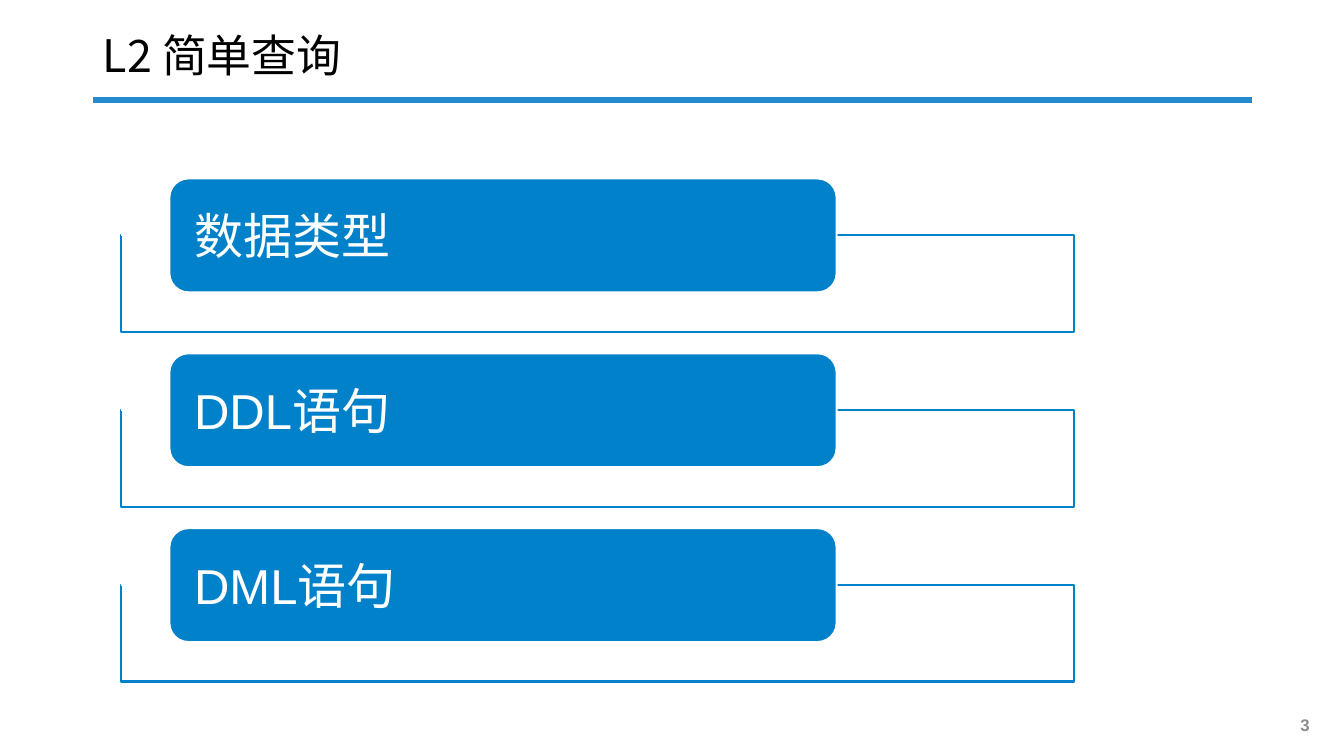
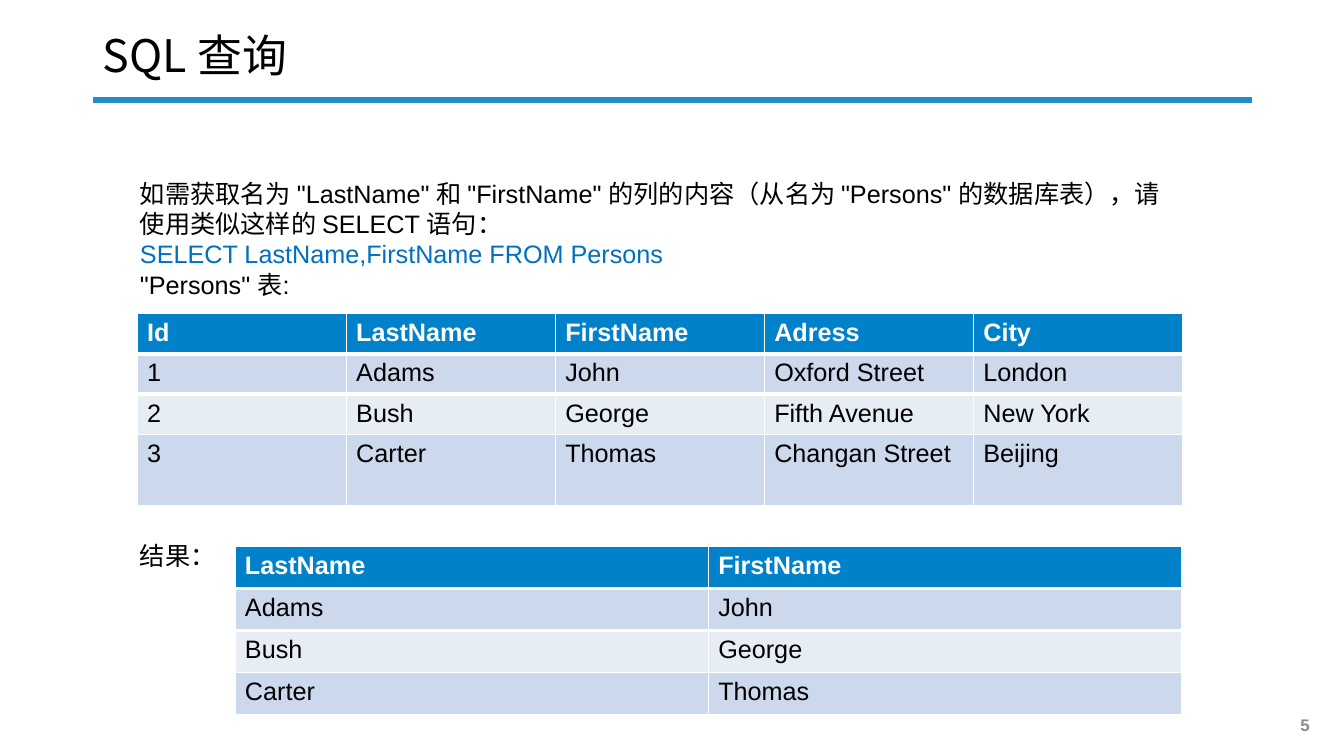
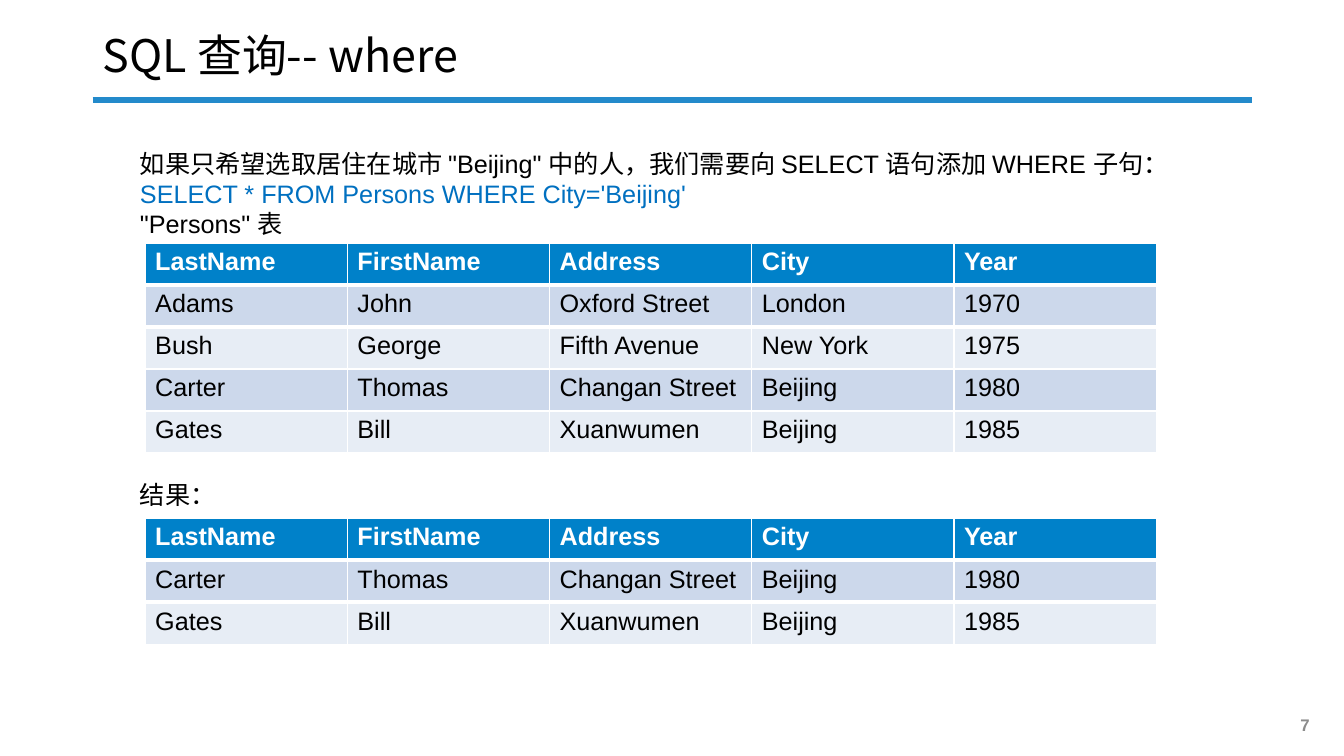
from pptx import Presentation
from pptx import util as u
from pptx.dml.color import RGBColor
from pptx.enum import shapes, text
from pptx.oxml import parse_xml
from pptx.oxml.ns import nsdecls

BLACK = RGBColor(0x00, 0x00, 0x00)
WHITE = RGBColor(0xFF, 0xFF, 0xFF)
GREY = RGBColor(0x8C, 0x8C, 0x8C)
RULE_BLUE = RGBColor(0x23, 0x8A, 0xCB)
BLUE = RGBColor(0x00, 0x81, 0xC9)
CODE_BLUE = RGBColor(0x00, 0x70, 0xC0)
BANDS = [RGBColor(0xE7, 0xED, 0xF5), RGBColor(0xCC, 0xD8, 0xEB)]

presentation = Presentation()
presentation.slide_width = u.Inches(13.33)
presentation.slide_height = u.Inches(7.5)
COLUMN = presentation.slide_width / 100
ROW = presentation.slide_height / 100


def grid(left, top, width, height):
    return [round(left * COLUMN), round(top * ROW), round(width * COLUMN), round(height * ROW)]


def write(paragraph, words, size, color, bold=False, font="Arial"):
    paragraph.text = words
    paragraph.font.size = u.Pt(size)
    paragraph.font.name = font
    paragraph.font.bold = bold
    paragraph.font.color.rgb = color


layout = presentation.slide_layouts[5]
layout_title = layout.placeholders[0]
layout_title.left, layout_title.top, layout_title.width, layout_title.height = grid(6.9, 2.55, 86.25, 10.13)

titles = [("L2 简单查询", "3"), ("SQL 查询", "5"), ("SQL 查询-- where", "7")]
for heading, number in titles:
    slide = presentation.slides.add_slide(layout)
    frame = slide.shapes.title.text_frame
    frame.vertical_anchor = text.MSO_ANCHOR.MIDDLE
    frame.auto_size = text.MSO_AUTO_SIZE.NONE
    write(frame.paragraphs[0], heading, 32, BLACK, font="Noto Sans CJK SC")
    frame.paragraphs[0].alignment = text.PP_ALIGN.LEFT
    frame.paragraphs[0].line_spacing = 0.9

    page_number = slide.shapes.add_textbox(*grid(94.88, 93.2, 4.43, 5.33))
    page_number.text_frame.vertical_anchor = text.MSO_ANCHOR.MIDDLE
    write(page_number.text_frame.paragraphs[0], number, 12, GREY, bold=True)
    page_number.text_frame.paragraphs[0].alignment = text.PP_ALIGN.CENTER

agenda = presentation.slides[0]
straight = shapes.MSO_CONNECTOR.STRAIGHT
lines = []

rule_left, rule_top, rule_width, _ = grid(6.9, 13.2, 86.25, 0)
title_rule = agenda.shapes.add_connector(straight, rule_left, rule_top, rule_left + rule_width, rule_top)
title_rule.line.color.rgb = RULE_BLUE
title_rule.line.width = u.Pt(4.5)
lines.append(title_rule)

for index, topic in enumerate(["数据类型", "DDL语句", "DML语句"]):
    top = 23.6 + index * 23.13
    panel = agenda.shapes.add_shape(shapes.MSO_SHAPE.RECTANGLE, *grid(9, top + 7.5, 70.95, 12.8))
    pill = agenda.shapes.add_shape(shapes.MSO_SHAPE.ROUNDED_RECTANGLE, *grid(12.6, top, 49.65, 15.07))
    for shape, fill, outline in [(panel, WHITE, BLUE), (pill, BLUE, WHITE)]:
        shape.shadow.inherit = False
        shape.fill.solid()
        shape.fill.fore_color.rgb = fill
        shape.line.color.rgb = outline
        shape.line.width = u.Pt(1.5)

    frame = pill.text_frame
    frame.margin_left = frame.margin_right = u.Inches(0.19)
    frame.margin_top = frame.margin_bottom = 0
    frame.vertical_anchor = text.MSO_ANCHOR.MIDDLE
    write(frame.paragraphs[0], topic, 35, WHITE)
    frame.paragraphs[0].alignment = text.PP_ALIGN.LEFT

    gap = agenda.shapes.add_connector(straight, panel.left, panel.top, pill.left, panel.top)
    gap.line.color.rgb = WHITE
    gap.line.width = u.Pt(1.5)
    lines.append(gap)

for line in lines:
    line._element.spPr.append(parse_xml(f"<a:effectLst {nsdecls('a')}/>"))
layout.shapes._spTree.append(title_rule._element)

explanations = [
    (1, 22.93, 78.83, [
        ('如需获取名为 "LastName" 和 "FirstName" 的列的内容（从名为 "Persons" 的数据库表），请使用类似这样的 SELECT 语句：', BLACK),
        ("SELECT LastName,FirstName FROM Persons", CODE_BLUE),
        ('"Persons" 表:', BLACK),
        ("结果：", BLACK),
    ]),
    (2, 18.93, 83, [
        ('如果只希望选取居住在城市 "Beijing" 中的人，我们需要向 SELECT 语句添加 WHERE 子句：', BLACK),
        ("SELECT * FROM Persons WHERE City='Beijing'", CODE_BLUE),
        ('"Persons" 表', BLACK),
        ("结果：", BLACK),
    ]),
]
for slide_index, top, width, passages in explanations:
    box = presentation.slides[slide_index].shapes.add_textbox(*grid(9.68, top, width, 54))
    frame = box.text_frame
    frame.word_wrap = True
    for index, (words, color) in enumerate(passages):
        paragraph = frame.add_paragraph() if index else frame.paragraphs[0]
        write(paragraph, words, 18, color)
    paragraph.space_before = u.Pt(172)

header = ["LastName", "FirstName", "Address", "City", "Year"]
people = [
    ["Adams", "John", "Oxford Street", "London", "1970"],
    ["Bush", "George", "Fifth Avenue", "New York", "1975"],
    ["Carter", "Thomas", "Changan Street", "Beijing", "1980"],
    ["Gates", "Bill", "Xuanwumen", "Beijing", "1985"],
]
numbered = [["Id", "LastName", "FirstName", "Adress", "City"]]
numbered += [[str(index)] + person[:4] for index, person in enumerate(people[:3], 1)]
names = [record[:2] for record in [header] + people[:3]]
in_beijing = [person for person in people if person[3] == "Beijing"]
header_edges = {0: "lnB", 1: "lnT"}

tables = [
    (1, 10.2, 41.47, 77.78, [5.33, 5.33, 5.33, 9.33], numbered),
    (1, 17.48, 72.27, 70.43, [5.56] * 4, names),
    (2, 10.8, 32.13, 75.23, [5.56] * 5, [header] + people),
    (2, 10.8, 68.53, 75.23, [5.56] * 3, [header] + in_beijing),
]
for slide_index, left, top, width, heights, records in tables:
    table = presentation.slides[slide_index].shapes.add_table(
        len(records), len(records[0]), *grid(left, top, width, sum(heights))).table
    for row_index, record in enumerate(records):
        table.rows[row_index].height = round(heights[row_index] * ROW)
        is_header = row_index == 0
        for column_index, words in enumerate(record):
            cell = table.cell(row_index, column_index)
            cell.fill.solid()
            cell.fill.fore_color.rgb = BLUE if is_header else BANDS[row_index % 2]
            write(cell.text_frame.paragraphs[0], words, 18, WHITE if is_header else BLACK, bold=is_header)
            if row_index in header_edges:
                edge = header_edges[row_index]
                cell._tc.get_or_add_tcPr().insert(0, parse_xml(
                    f'<a:{edge} {nsdecls("a")} w="{u.Pt(3)}"><a:solidFill>'
                    f'<a:srgbClr val="{WHITE}"/></a:solidFill></a:{edge}>'))

presentation.save("out.pptx")
